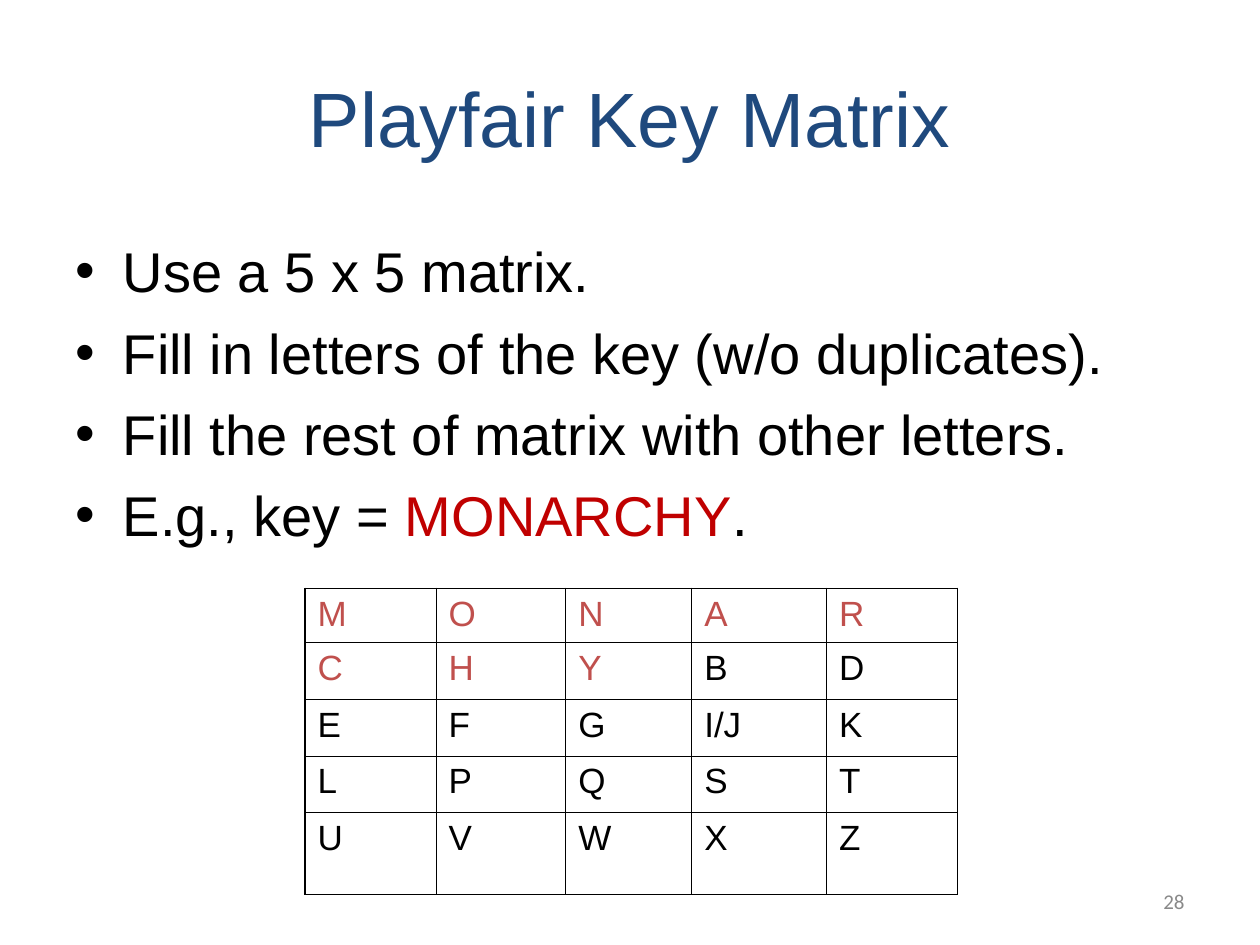
from lxml import etree
from pptx import Presentation
from pptx.dml.color import RGBColor
from pptx.enum.text import MSO_ANCHOR, MSO_AUTO_SIZE, PP_ALIGN
from pptx.oxml.ns import qn
from pptx.util import Inches, Pt

CENTER, RIGHT = PP_ALIGN.CENTER, PP_ALIGN.RIGHT
MIDDLE, TOP = MSO_ANCHOR.MIDDLE, MSO_ANCHOR.TOP
NO_FIT = MSO_AUTO_SIZE.NONE
TITLE_AND_CONTENT = 1

BLACK, NAVY, RED, BRICK, GRAY = "000000", "1F497D", "C00000", "C0504D", "898989"
THIN, THICK = 0.45, 1.08

KEY = "MONARCHY"
ALPHABET = "ABCDEFGHIKLMNOPQRSTUVWXYZ"
SIZE = 5
COL_WIDTHS = [1.04, 1.03, 1, 1.07, 1.04]
ROW_HEIGHTS = [0.43, 0.45, 0.45, 0.45, 0.65]
BULLETS = [
    [("Use a 5 x 5 matrix.", BLACK)],
    [("Fill in letters of the key (w/o duplicates).", BLACK)],
    [("Fill the rest of matrix with other letters.", BLACK)],
    [("E.g., key = ", BLACK), (KEY, RED), (".", BLACK)],
]


def rgb(value):
    """Return the colour for a hex string."""
    return RGBColor.from_string(value)


def assign(obj, **values):
    """Set several attributes on one object."""
    for name, value in values.items():
        setattr(obj, name, value)


def place(sp, box):
    """Move a shape to a box given in inches."""
    names = ("left", "top", "width", "height")
    assign(sp, **dict(zip(names, map(Inches, box))))


def add_run(p, text, size, color, font="Arial"):
    """Append a formatted run to a paragraph."""
    r = p.add_run()
    r.text = text
    assign(r.font, size=Pt(size), name=font)
    r.font.color.rgb = rgb(color)


def add_title(s, box, text):
    """Fill the title placeholder."""
    sp = s.shapes.title
    place(sp, box)
    tf = sp.text_frame
    assign(tf, vertical_anchor=MIDDLE, word_wrap=True, auto_size=NO_FIT)
    p = tf.paragraphs[0]
    p.alignment = CENTER
    add_run(p, text, 44, NAVY)


def add_bullets(s, box, items):
    """Fill the body placeholder with a bulleted list."""
    sp = s.placeholders[1]
    place(sp, box)
    tf = sp.text_frame
    assign(tf, vertical_anchor=TOP, word_wrap=True, auto_size=NO_FIT)
    for i, runs in enumerate(items):
        p = tf.add_paragraph() if i else tf.paragraphs[0]
        p.space_before = Pt(8)
        for text, color in runs:
            add_run(p, text, 32, color)


def set_borders(cell, widths):
    """Draw the left, right, top and bottom borders of a cell."""
    tcPr = cell._tc.get_or_add_tcPr()
    for i, (side, width) in enumerate(zip("LRTB", widths)):
        ln = etree.Element(qn(f"a:ln{side}"), w=str(int(Pt(width))))
        fill = etree.SubElement(ln, qn("a:solidFill"))
        etree.SubElement(fill, qn("a:srgbClr"), val=BLACK)
        tcPr.insert(i, ln)


def add_key_matrix(s, box, key):
    """Add the matrix: key letters first, then the rest of the alphabet."""
    letters = list(dict.fromkeys(key + ALPHABET))
    frame = s.shapes.add_table(SIZE, SIZE, *map(Inches, box))
    table = frame.table
    assign(table, first_row=False, horz_banding=False)
    for col, width in zip(table.columns, COL_WIDTHS):
        col.width = Inches(width)
    for row, height in zip(table.rows, ROW_HEIGHTS):
        row.height = Inches(height)
    for i, letter in enumerate(letters):
        row, col = divmod(i, SIZE)
        cell = table.cell(row, col)
        cell.fill.background()
        outer = (col == 0, col == SIZE - 1, row == 0, row == SIZE - 1)
        set_borders(cell, [THICK if edge else THIN for edge in outer])
        p = cell.text_frame.paragraphs[0]
        p.space_before = Pt(5)
        text = "I/J" if letter == "I" else letter
        add_run(p, text, 20, BRICK if letter in key else BLACK)


def add_page_number(s, box, number):
    """Add the page number."""
    tf = s.shapes.add_textbox(*map(Inches, box)).text_frame
    assign(tf, vertical_anchor=MIDDLE, word_wrap=True)
    p = tf.paragraphs[0]
    p.alignment = RIGHT
    add_run(p, str(number), 12, GRAY, "Calibri")


def main():
    """Build the slide and save it."""
    prs = Presentation()
    assign(prs, slide_width=Inches(10), slide_height=Inches(7.5))
    s = prs.slides.add_slide(prs.slide_layouts[TITLE_AND_CONTENT])
    add_title(s, (0.5, 0.3, 9, 1.25), "Playfair Key Matrix")
    add_bullets(s, (0.5, 1.83, 9, 2.92), BULLETS)
    add_key_matrix(s, (2.42, 4.67, sum(COL_WIDTHS), sum(ROW_HEIGHTS)), KEY)
    add_page_number(s, (7.17, 6.95, 2.33, 0.4), 28)
    prs.save("out.pptx")


main()
